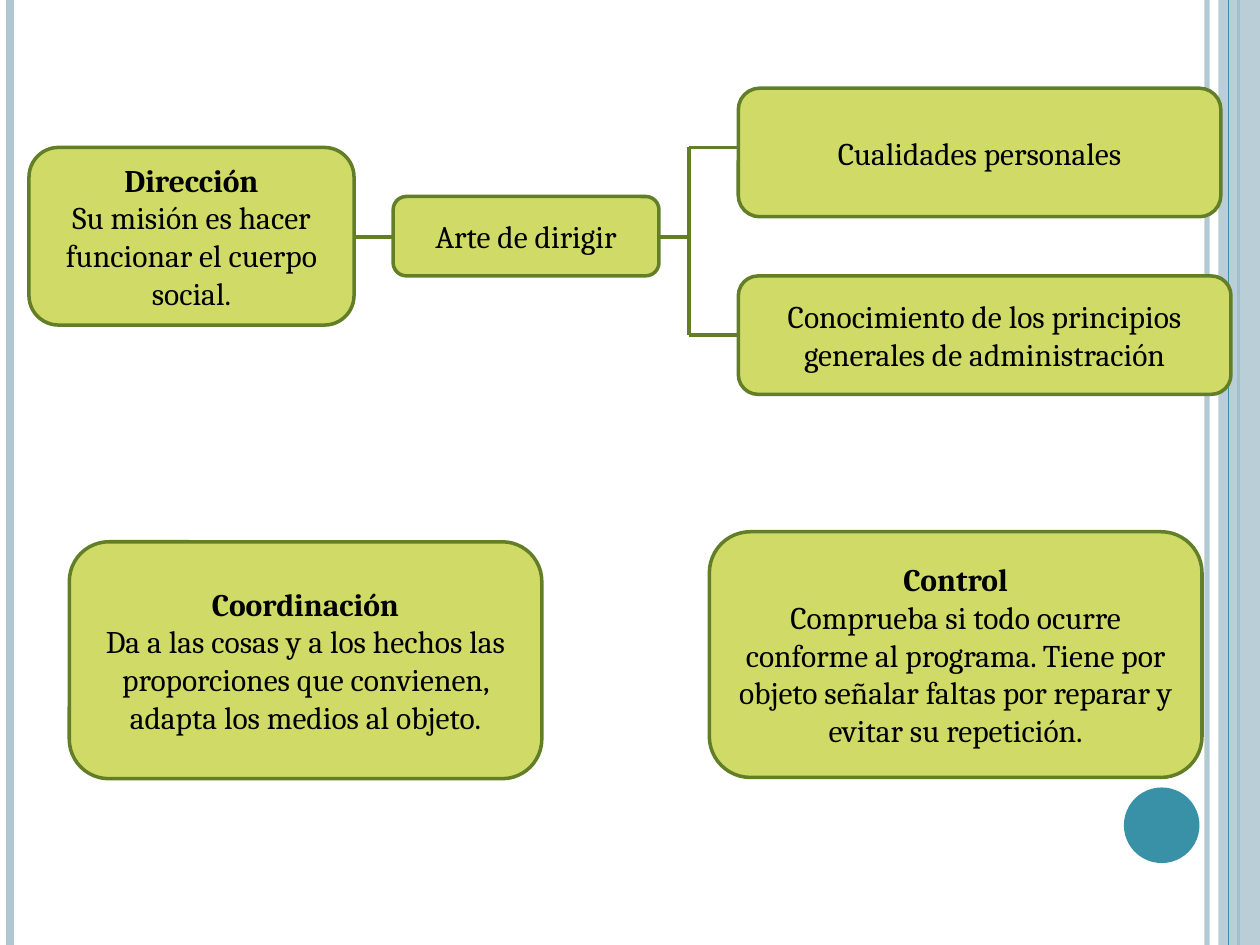
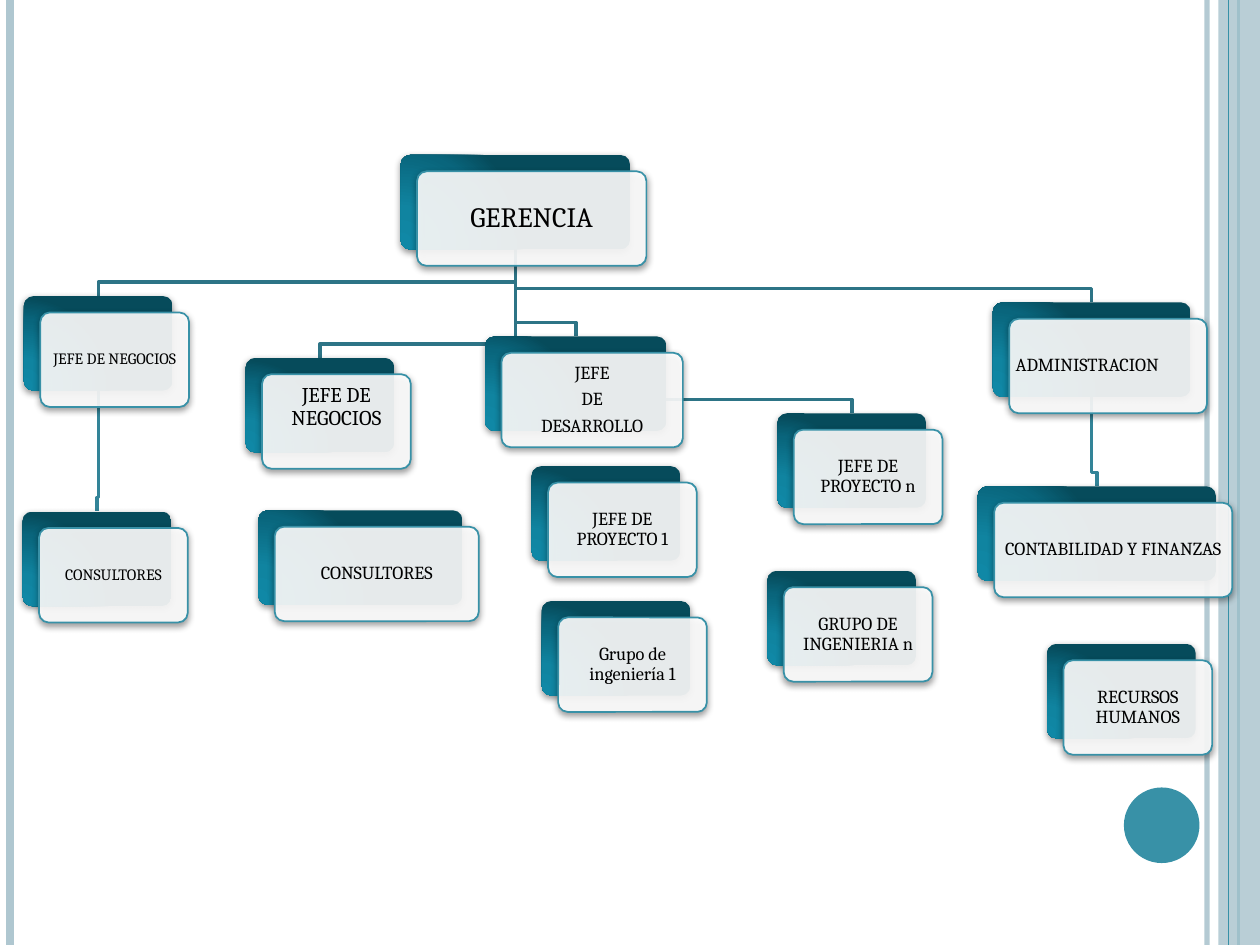
from lxml import etree
from pptx import Presentation
from pptx.dml.color import RGBColor
from pptx.enum.shapes import MSO_CONNECTOR, MSO_SHAPE as Preset
from pptx.enum.text import MSO_ANCHOR, PP_ALIGN as Align
from pptx.oxml import parse_xml
from pptx.oxml.ns import nsdecls, qn
from pptx.util import Inches, Pt

WIDTH, HEIGHT = 10, 7.5
FONT = "Cambria"
BLACK = RGBColor(0x00, 0x00, 0x00)
WHITE = RGBColor(0xFF, 0xFF, 0xFF)
PALE_BLUE = RGBColor(0xAF, 0xC7, 0xD0)
TEAL = RGBColor(0x38, 0x91, 0xA7)
LIME = RGBColor(0xD0, 0xDB, 0x67)
OLIVE = RGBColor(0x62, 0x7E, 0x26)
FIRST_LEVEL = RGBColor(0x2D, 0x74, 0x86)
SECOND_LEVEL = RGBColor(0x33, 0x84, 0x98)
CARD_STOPS = [(0, "1088A6"), (30, "1084A0"), (75, "09657C"), (100, "064B5B")]

# Functions: heading, text, (left, top, width, height)
ARTE = (3.12, 1.56, 2.11, 0.63)
CUALIDADES = (5.86, 0.7, 3.83, 1.02)
CONOCIMIENTO = (5.86, 2.19, 3.91, 0.94)
DIRECCION = (0.23, 1.17, 2.58, 1.41)
FUNCTIONS = [
    ("", "Cualidades personales", CUALIDADES),
    ("", "Conocimiento de los principios generales de administración", CONOCIMIENTO),
    ("Dirección", "Su misión es hacer funcionar el cuerpo social.", DIRECCION),
    ("Coordinación", "Da a las cosas y a los hechos las proporciones que convienen, "
     "adapta los medios al objeto.", (0.55, 4.3, 3.75, 1.88)),
    ("Control", "Comprueba si todo ocurre conforme al programa. Tiene por objeto "
     "señalar faltas por reparar y evitar su repetición.", (5.63, 4.22, 3.91, 1.95)),
]
TRUNK_X, AXIS_Y = 5.47, 1.88
BRANCHES_Y = (1.17, 2.66)

# Organisation chart: key -> (lines, left, top, width, text size)
CARD_HEIGHT, CARD_OFFSET, CARD_WIDTH = 0.75, 0.13, 1.18
STUB = 0.11
POSTS = {
    "gerencia": (["GERENCIA"], 3.18, 1.23, 1.82, 16),
    "negocios 1": (["JEFE DE NEGOCIOS"], 0.19, 2.35, CARD_WIDTH, 9),
    "consultores 1": (["CONSULTORES"], 0.18, 4.06, CARD_WIDTH, 9),
    "negocios 2": (["JEFE DE NEGOCIOS"], 1.95, 2.84, CARD_WIDTH, 12),
    "desarrollo": (["JEFE", "DE", "DESARROLLO"], 3.85, 2.67, 1.44, 10.5),
    "proyecto n": (["JEFE DE PROYECTO n"], 6.17, 3.28, CARD_WIDTH, 10.5),
    "administracion": (["ADMINISTRACION"], 7.88, 2.4, 1.57, 10.5),
    "contabilidad": (["CONTABILIDAD Y FINANZAS"], 7.76, 3.86, 1.89, 10.5),
    "consultores 2": (["CONSULTORES"], 2.05, 4.05, 1.62, 10.5),
    "proyecto 1": (["JEFE DE PROYECTO 1"], 4.22, 3.7, CARD_WIDTH, 10.5),
    "grupo n": (["GRUPO DE INGENIERIA n"], 6.09, 4.53, CARD_WIDTH, 10.5),
    "recursos": (["RECURSOS HUMANOS"], 8.31, 5.11, CARD_WIDTH, 10.5),
    "grupo 1": (["Grupo de ingeniería 1"], 4.3, 4.77, CARD_WIDTH, 10.5),
}
REPORTS = [
    ("administracion", "contabilidad", SECOND_LEVEL),
    ("gerencia", "administracion", FIRST_LEVEL),
    ("gerencia", "proyecto n", FIRST_LEVEL),
    ("gerencia", "desarrollo", FIRST_LEVEL),
    ("gerencia", "negocios 2", FIRST_LEVEL),
    ("negocios 1", "consultores 1", SECOND_LEVEL),
    ("gerencia", "negocios 1", FIRST_LEVEL),
]
LEFT_ALIGNED = {"administracion"}
RAISED = {"negocios 2": 0.23}


def set_opacity(shape, percent):
    """Apply opacity to the first colour of the shape: its fill, or a connector's line."""
    color = shape._element.spPr.find(".//" + qn("a:srgbClr"))
    etree.SubElement(color, qn("a:alpha")).set("val", str(percent * 1000))


def add_line(slide, start, end, color, weight):
    line = slide.shapes.add_connector(
        MSO_CONNECTOR.STRAIGHT, *(Inches(v) for v in (*start, *end)))
    line.line.color.rgb = color
    line.line.width = Pt(weight)
    etree.SubElement(line._element.spPr, qn("a:effectLst"))
    return line


def add_box(slide, preset, place, fill=None, outline=None, weight=1):
    box = slide.shapes.add_shape(preset, *(Inches(v) for v in place))
    box.shadow.inherit = False
    if fill is not None:
        box.fill.solid()
        box.fill.fore_color.rgb = fill
    if outline is None:
        box.line.fill.background()
    else:
        box.line.color.rgb = outline
        box.line.width = Pt(weight)
    return box


def write(box, lines, size, align=Align.CENTER):
    frame = box.text_frame
    frame.word_wrap = True
    frame.vertical_anchor = MSO_ANCHOR.MIDDLE
    for i, text in enumerate(lines):
        paragraph = frame.paragraphs[0] if i == 0 else frame.add_paragraph()
        paragraph.text = text
        paragraph.alignment = align
        paragraph.font.name = FONT
        paragraph.font.size = Pt(size)
        paragraph.font.color.rgb = BLACK
    return frame


def add_framed_slide(prs):
    """Add a slide with the side bands and the disc that all slides share."""
    slide = prs.slides.add_slide(prs.slide_layouts[6])

    def rule(x, color, weight):
        return add_line(slide, (x, 0), (x, HEIGHT), color, weight)

    set_opacity(rule(9.58, PALE_BLUE, 3), 93)
    rule(0.08, PALE_BLUE, 4.5)
    rule(9.83, TEAL, 1.5)
    set_opacity(add_box(slide, Preset.RECTANGLE, (9.67, 0, 0.33, HEIGHT), PALE_BLUE), 87)
    rule(9.75, TEAL, 0.75)
    add_box(slide, Preset.OVAL, (8.92, 6.25, 0.6, 0.6), TEAL)
    return slide


def add_functions_slide(prs):
    slide = add_framed_slide(prs)
    arte_right = ARTE[0] + ARTE[2]
    direccion_right = DIRECCION[0] + DIRECCION[2]
    links = [
        ((direccion_right, AXIS_Y), (ARTE[0], AXIS_Y)),
        ((arte_right, AXIS_Y), (TRUNK_X, AXIS_Y)),
        ((TRUNK_X, BRANCHES_Y[0]), (TRUNK_X, BRANCHES_Y[1])),
    ]
    links += [((TRUNK_X, y), (CUALIDADES[0], y)) for y in BRANCHES_Y]
    for start, end in links:
        add_line(slide, start, end, OLIVE, 2)
    arte = add_box(slide, Preset.ROUNDED_RECTANGLE, ARTE, LIME, OLIVE, 2)
    write(arte, ["Arte de dirigir"], 18)
    for heading, text, place in FUNCTIONS:
        box = add_box(slide, Preset.FLOWCHART_ALTERNATE_PROCESS, place, LIME, OLIVE, 2)
        frame = write(box, [heading, text] if heading else [text], 18)
        frame.paragraphs[0].font.bold = bool(heading)


def add_soft_shadow(shape):
    shape._element.spPr.find(qn("a:effectLst")).append(parse_xml(
        f'<a:outerShdw {nsdecls("a")} blurRad="50800" dist="20000" dir="5400000" '
        'rotWithShape="0"><a:srgbClr val="000000"><a:alpha val="42000"/></a:srgbClr>'
        '</a:outerShdw>'))


def fill_with_gradient(shape):
    stops = "".join(f'<a:gs pos="{pos * 1000}"><a:srgbClr val="{color}"/></a:gs>'
                    for pos, color in CARD_STOPS)
    shape._element.spPr.find(qn("a:ln")).addprevious(parse_xml(
        f'<a:gradFill {nsdecls("a")} rotWithShape="1"><a:gsLst>{stops}</a:gsLst>'
        '<a:path path="circle"><a:fillToRect l="5000" t="100000" r="120000" b="10000"/>'
        '</a:path></a:gradFill>'))


def add_report_line(slide, boss, report, color):
    """Draw an elbow from below one post to the top of another."""
    _, boss_left, boss_top, boss_width, _ = POSTS[boss]
    _, left, top, width, _ = POSTS[report]
    start_x, end_x = boss_left + boss_width / 2, left + width / 2
    route = [(start_x, boss_top + CARD_HEIGHT), (start_x, top - STUB),
             (end_x, top - STUB), (end_x, top)]
    start, *bends = [(Inches(x), Inches(y)) for x, y in route]
    builder = slide.shapes.build_freeform(*start)
    builder.add_line_segments(bends, close=False)
    elbow = builder.convert_to_shape()
    elbow.shadow.inherit = False
    elbow.fill.background()
    elbow.line.color.rgb = color
    elbow.line.width = Pt(2)


def add_post(slide, key):
    lines, left, top, width, size = POSTS[key]
    back = add_box(slide, Preset.ROUNDED_RECTANGLE, (left, top, width, CARD_HEIGHT))
    fill_with_gradient(back)
    front = add_box(slide, Preset.ROUNDED_RECTANGLE,
                    (left + CARD_OFFSET, top + CARD_OFFSET, width, CARD_HEIGHT), WHITE, TEAL)
    set_opacity(front, 90)
    for card in (back, front):
        card.adjustments[0] = 0.1
        add_soft_shadow(card)
    frame = write(front, lines, size, Align.LEFT if key in LEFT_ALIGNED else Align.CENTER)
    frame.margin_left = frame.margin_right = frame.margin_top = Inches(0.03)
    frame.margin_bottom = Inches(0.03 + RAISED.get(key, 0))
    for paragraph in frame.paragraphs:
        paragraph.line_spacing = 0.9
    for paragraph in frame.paragraphs[:-1]:
        paragraph.space_after = Pt(0.35 * size)


def add_organisation_slide(prs):
    slide = add_framed_slide(prs)
    for boss, report, color in REPORTS:
        add_report_line(slide, boss, report, color)
    for key in POSTS:
        add_post(slide, key)


def main():
    prs = Presentation()
    prs.slide_width, prs.slide_height = Inches(WIDTH), Inches(HEIGHT)
    add_functions_slide(prs)
    add_organisation_slide(prs)
    prs.save("out.pptx")


if __name__ == "__main__":
    main()
